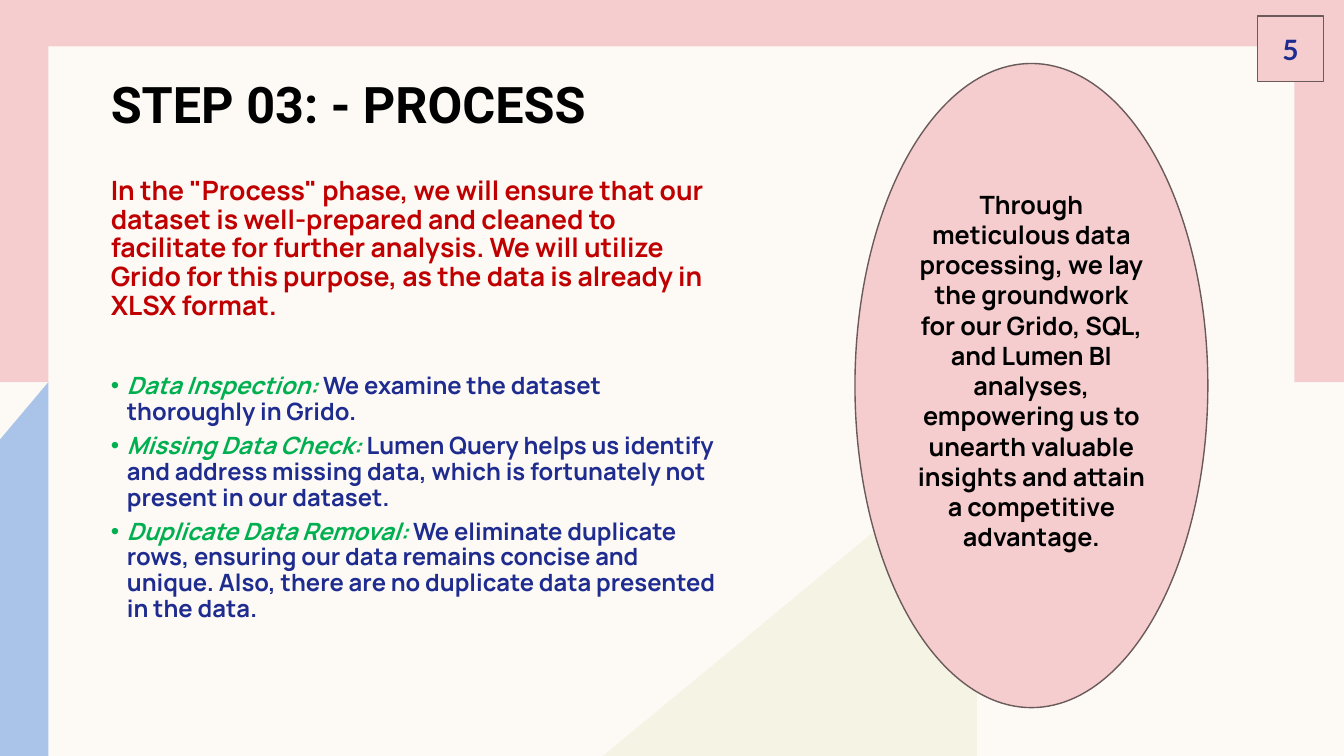
from lxml.etree import SubElement
from pptx import Presentation
from pptx.dml.color import RGBColor
from pptx.enum.shapes import MSO_SHAPE as Preset
from pptx.enum.text import MSO_ANCHOR as Anchor, PP_ALIGN as Align
from pptx.oxml.ns import qn
from pptx.util import Inches, Pt

theme = {
    "cream": "FDFAF6", "pink": "F5CDCE", "sand": "EDEED3", "sky": "AAC3E8",
    "outline": "6B5A5A", "black": "000000", "red": "C00000",
    "green": "00B050", "navy": "1F2C8F",
    "title": 36, "intro": 19, "bullet": 17, "oval": 18, "number": 20,
    "heading_font": "Roboto", "body_font": "Manrope", "number_font": "Lato",
}


def paint(shape, fill, outlined=False):
    shape.shadow.inherit = False
    shape.fill.solid()
    shape.fill.fore_color.rgb = RGBColor.from_string(theme[fill])
    if outlined:
        shape.line.color.rgb = RGBColor.from_string(theme["outline"])
        shape.line.width = Pt(1)
    else:
        shape.line.fill.background()


def style(run, font, size, color, italic=False):
    run.font.name = theme[font]
    run.font.size = Pt(theme[size])
    run.font.color.rgb = RGBColor.from_string(theme[color])
    run.font.bold = True
    run.font.italic = italic


presentation = Presentation()
presentation.slide_width = Inches(13.33)
presentation.slide_height = Inches(7.5)
slide = presentation.slides.add_slide(presentation.slide_layouts[6])
slide.background.fill.solid()
slide.background.fill.fore_color.rgb = RGBColor.from_string(theme["cream"])
shapes = slide.shapes

for fill, left, top, width, height in [
    ("pink", 0, 0, 13.33, 3.79),
    ("cream", 0.48, 0.46, 12.36, 6.59),
]:
    panel = shapes.add_shape(
        Preset.RECTANGLE, Inches(left), Inches(top), Inches(width), Inches(height))
    paint(panel, fill)

for fill, opacity, points in [
    ("sand", 50, [(5.98, 7.5), (9.69, 4.43), (9.69, 7.5)]),
    ("sky", 100, [(0.48, 3.79), (0.48, 7.5), (0, 7.5), (0, 4.36)]),
]:
    corners = [(Inches(x), Inches(y)) for x, y in points]
    builder = shapes.build_freeform(*corners[0])
    builder.add_line_segments(corners[1:], close=True)
    wedge = builder.convert_to_shape()
    paint(wedge, fill)
    if opacity < 100:
        color = wedge.fill._xPr.find(qn("a:solidFill"))[0]
        SubElement(color, qn("a:alpha"), val=str(opacity * 1000))

title = shapes.add_textbox(Inches(1), Inches(0.61), Inches(5.39), Inches(0.72))
body = shapes.add_textbox(Inches(1), Inches(1.76), Inches(6.32), Inches(4.92))
for box in (title, body):
    box.text_frame.word_wrap = True
    box.text_frame.margin_top = box.text_frame.margin_bottom = 0
title.text_frame.vertical_anchor = Anchor.BOTTOM
title.text_frame.text = "STEP 03: - PROCESS"
style(title.text_frame.paragraphs[0].runs[0], "heading_font", "title", "black")

body.text_frame.text = (
    'In the "Process" phase, we will ensure that our dataset is well-prepared '
    "and cleaned to facilitate for further analysis. We will utilize Grido for "
    "this purpose, as the data is already in XLSX format.")
intro = body.text_frame.paragraphs[0]
intro.line_spacing = 0.9
intro.space_after = Pt(38)
style(intro.runs[0], "body_font", "intro", "red")

for label, detail in [
    ("Data Inspection: ", "We examine the dataset thoroughly in Grido."),
    ("Missing Data Check: ",
     "Lumen Query helps us identify and address missing data, which is "
     "fortunately not present in our dataset."),
    ("Duplicate Data Removal: ",
     "We eliminate duplicate rows, ensuring our data remains concise and "
     "unique. Also, there are no duplicate data presented in the data."),
]:
    paragraph = body.text_frame.add_paragraph()
    paragraph.line_spacing = 0.9
    paragraph.space_after = Pt(6)
    properties = paragraph._p.get_or_add_pPr()
    properties.set("marL", str(Inches(0.16)))
    properties.set("indent", str(-Inches(0.16)))
    SubElement(properties, qn("a:buFont"), typeface="Arial")
    SubElement(properties, qn("a:buChar"), char="•")
    for text, color in [(label, "green"), (detail, "navy")]:
        run = paragraph.add_run()
        run.text = text
        style(run, "body_font", "bullet", color, italic=color == "green")

summary = (
    "Through meticulous data processing, we lay the groundwork for our Grido, "
    "SQL, and Lumen BI analyses, empowering us to unearth valuable insights "
    "and attain a competitive advantage.")
for preset, left, top, width, height, bottom, text, font, size, color in [
    (Preset.OVAL, 8.48, 0.63, 3.5, 6.39, 0.35, summary, "body_font", "oval", "black"),
    (Preset.RECTANGLE, 12.47, 0.16, 0.66, 0.65, 0.05, "5", "number_font", "number", "navy"),
]:
    callout = shapes.add_shape(
        preset, Inches(left), Inches(top), Inches(width), Inches(height))
    paint(callout, "pink", outlined=True)
    frame = callout.text_frame
    frame.word_wrap = True
    frame.vertical_anchor = Anchor.MIDDLE
    frame.margin_bottom = Inches(bottom)
    frame.text = text
    frame.paragraphs[0].alignment = Align.CENTER
    style(frame.paragraphs[0].runs[0], font, size, color)

presentation.save("out.pptx")
